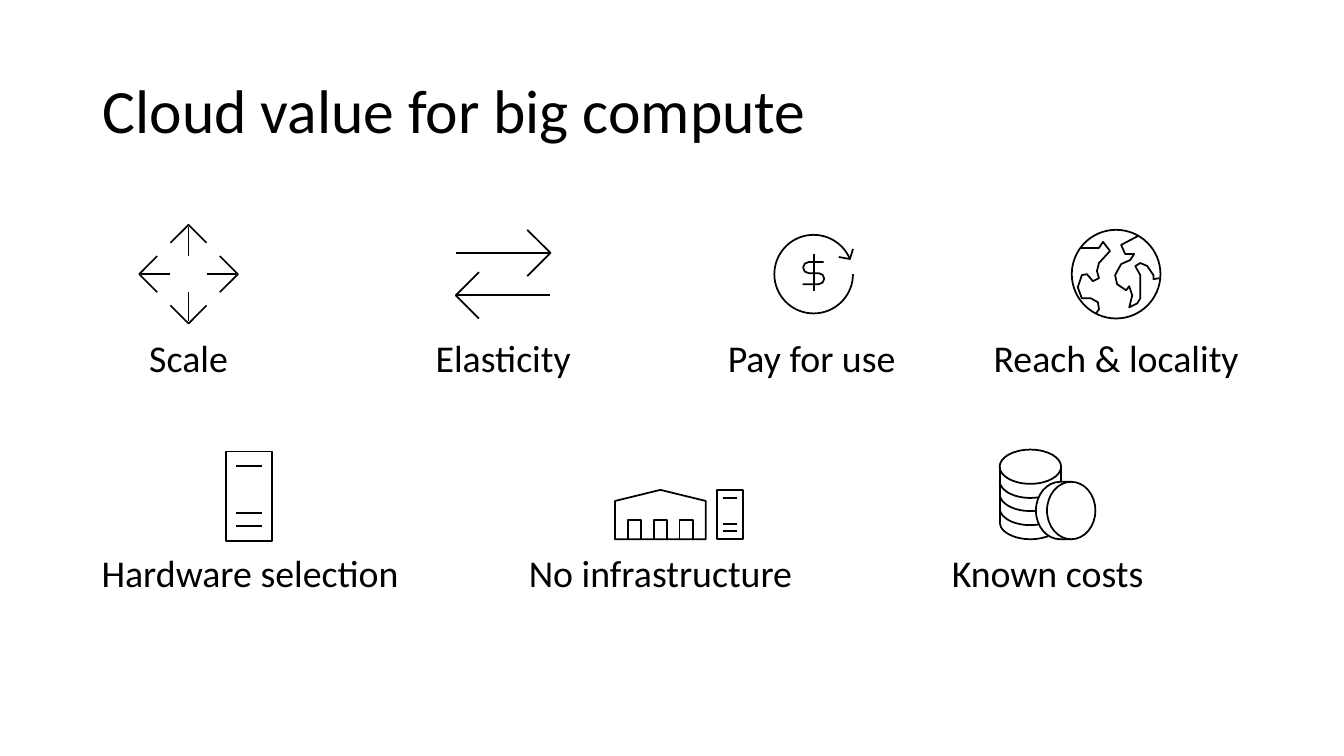
from math import ceil, cos, radians, sin, tan
from lxml.etree import SubElement
from pptx import Presentation
from pptx.dml.color import RGBColor
from pptx.enum.text import MSO_ANCHOR, MSO_AUTO_SIZE, PP_ALIGN
from pptx.oxml.ns import qn
from pptx.util import Inches, Pt

THEME = {
    "ink": RGBColor(0, 0, 0),
    "paper": RGBColor(255, 255, 255),
    "font": "Calibri",
    "title": Pt(44),
    "label": Pt(27),
    "line": Pt(1.25),
}
UNIT = Inches(0.001)
ROW_1, ROW_2 = 2.72, 5.35
LABEL_1, LABEL_2 = 3.21, 5.34
LINE, CURVE = False, True

prs = Presentation()
prs.slide_width, prs.slide_height = Inches(13.33), Inches(7.5)
s = prs.slides.add_slide(prs.slide_layouts[6])
s.background.fill.solid()
s.background.fill.fore_color.rgb = THEME["paper"]


def arc(cx, cy, rx, ry, start, end):
    parts = ceil(abs(end - start) / 90)
    step = radians(end - start) / parts
    k = 4 / 3 * tan(step / 4)
    a = radians(start)
    points = [(cx + rx * cos(a), cy + ry * sin(a), LINE)]
    for _ in range(parts):
        b = a + step
        for ux, uy in ((cos(a) - k * sin(a), sin(a) + k * cos(a)),
                       (cos(b) + k * sin(b), sin(b) - k * cos(b)),
                       (cos(b), sin(b))):
            points.append((cx + rx * ux, cy + ry * uy, CURVE))
        a = b
    return points


def add_text(text, x, y, w, h, size, inset, label=True, wrap=True):
    sp = s.shapes.add_textbox(Inches(x), Inches(y), Inches(w), Inches(h))
    tf = sp.text_frame
    tf.word_wrap = wrap
    tf.margin_left = tf.margin_right = Inches(inset[0])
    tf.margin_top = tf.margin_bottom = Inches(inset[1])
    tf.auto_size = MSO_AUTO_SIZE.SHAPE_TO_FIT_TEXT if label else MSO_AUTO_SIZE.NONE
    tf.vertical_anchor = MSO_ANCHOR.TOP if label else MSO_ANCHOR.MIDDLE
    p = tf.paragraphs[0]
    p.alignment = PP_ALIGN.CENTER if label else PP_ALIGN.LEFT
    p.line_spacing = 0.9
    if label:
        p.space_after = Pt(5.9)
    r = p.add_run()
    r.text = text
    r.font.name, r.font.size = THEME["font"], size
    r.font.color.rgb = THEME["ink"]


add_text("Cloud value for big compute", 0.92, 0.4, 11.5, 1.45,
         THEME["title"], (0.1, 0.05), label=False)

labels = [
    ("Scale", 1.87, LABEL_1, 1.2),
    ("Elasticity", 4.99, LABEL_1, 1.79),
    ("Pay for use", 8.05, LABEL_1, 2.1),
    ("Reach & locality", 11.07, LABEL_1, 3.12),
    ("Hardware selection", 2.48, LABEL_2, 3.56),
    ("No infrastructure", 6.55, LABEL_2, 3.32),
    ("Known costs", 10.39, LABEL_2, 3.45),
]
for text, cx, y, w in labels:
    add_text(text, cx - w / 2, y, w, 0.73, THEME["label"], (0.2, 0.16), wrap=w > 3)

scale = []
for stroke in ([(-18, -31), (0, -49), (18, -31)], [(0, -47), (0, -18)]):
    for turn in range(4):
        scale.append(stroke)
        stroke = [(-y, x) for x, y in stroke]

right_arrow = [[(24, -44), (47, -21), (24, 2)], [(47, -21), (-47, -21)]]
elasticity = right_arrow + [[(-x, -y) for x, y in stroke] for stroke in right_arrow]

pay = [
    arc(0, 0, 39, 39, 0, 338),
    [(25, -17), (36, -15), (39, -25)],
    [(-11, 10)] + arc(5, 4.5, 5.5, 5.5, 90, -90)
    + arc(-5, -6.5, 5.5, 5.5, 90, 270) + [(10, -12)],
    [(0, -20), (0, 17)],
]

globe = [
    arc(0, 0, 44, 44, 0, 360),
    [(-20, 39), (-17, 35), (-18, 28), (-25, 24), (-34, 24), (-38, 13),
     (-34, 1), (-29, 0), (-23, 7), (-17, 4), (-19, -3), (-17, -11),
     (-6, -23), (-13, -32), (-17, -26), (-35, -26)],
    [(22, -38), (5, -29), (9, -20), (18, -20), (14, -14), (5, -10), (-1, 1),
     (1, 10), (10, 16), (13, 12), (16, 21), (13, 33), (21, 29), (24, 24),
     (24, 1), (19, -8), (24, -11), (31, -8), (37, 1), (37, 5), (43, 4)],
]

server = [[(-23, 0), (-23, -89), (23, -89), (23, 0), (-23, 0)]]
server += [[(-13, y), (13, y)] for y in (-75, -28, -15)]
small_server = [[(x * 0.55, y * 0.55) for x, y in stroke] for stroke in server]

building = [[(-45, 0), (-45, -38), (0, -49), (45, -38), (45, 0), (-45, 0)]]
building += [[(x + 6.5, 0), (x + 6.5, -19), (x - 6.5, -19), (x - 6.5, 0)]
             for x in (-25.5, 0, 25.5)]

coins = [
    arc(0, -72, 30.5, 17, 0, 360),
    [(-30.5, -72), (-30.5, -17)],
    [(30.5, -72), (30.5, -57)],
    arc(40.5, -28.5, 24, 28.5, 0, 360),
    [(40.5, -57)] + arc(29.5, -28.5, 24, 28.5, 270, 90) + [(40.5, 0)],
]
coins += [arc(0, y, 30.5, 17, 180, end)
          for y, end in ((-17, 54), (-31, 75), (-45, 81), (-58, 75))]

icons = [
    (scale, 1.87, ROW_1),
    (elasticity, 4.99, ROW_1),
    (pay, 8.07, ROW_1),
    (globe, 11.07, ROW_1),
    (server, 2.47, ROW_2 + 0.02),
    (building, 6.55, ROW_2),
    (small_server, 7.24, ROW_2),
    (coins, 10.22, ROW_2),
]
for strokes, x, y in icons:
    paths = [[(pt[0] * 10, pt[1] * 10) for pt in stroke] for stroke in strokes]
    fb = s.shapes.build_freeform(*paths[0][0], scale=UNIT)
    for i, path in enumerate(paths):
        if i:
            fb.move_to(*path[0])
        fb.add_line_segments(path[1:], close=False)
    sp = fb.convert_to_shape(Inches(x), Inches(y))
    sp.shadow.inherit = False
    sp.fill.background()
    sp.line.color.rgb = THEME["ink"]
    sp.line.width = THEME["line"]

    outline = next(sp.element.iter(qn("a:path")))
    kinds = [pt[2:] == (CURVE,) for stroke in strokes for pt in stroke]
    curved = [step for step, kind in zip(list(outline), kinds) if kind]
    for i in range(0, len(curved), 3):
        bezier = SubElement(outline, qn("a:cubicBezTo"))
        curved[i].addprevious(bezier)
        for step in curved[i:i + 3]:
            bezier.append(step[0])
            outline.remove(step)

prs.save("out.pptx")
